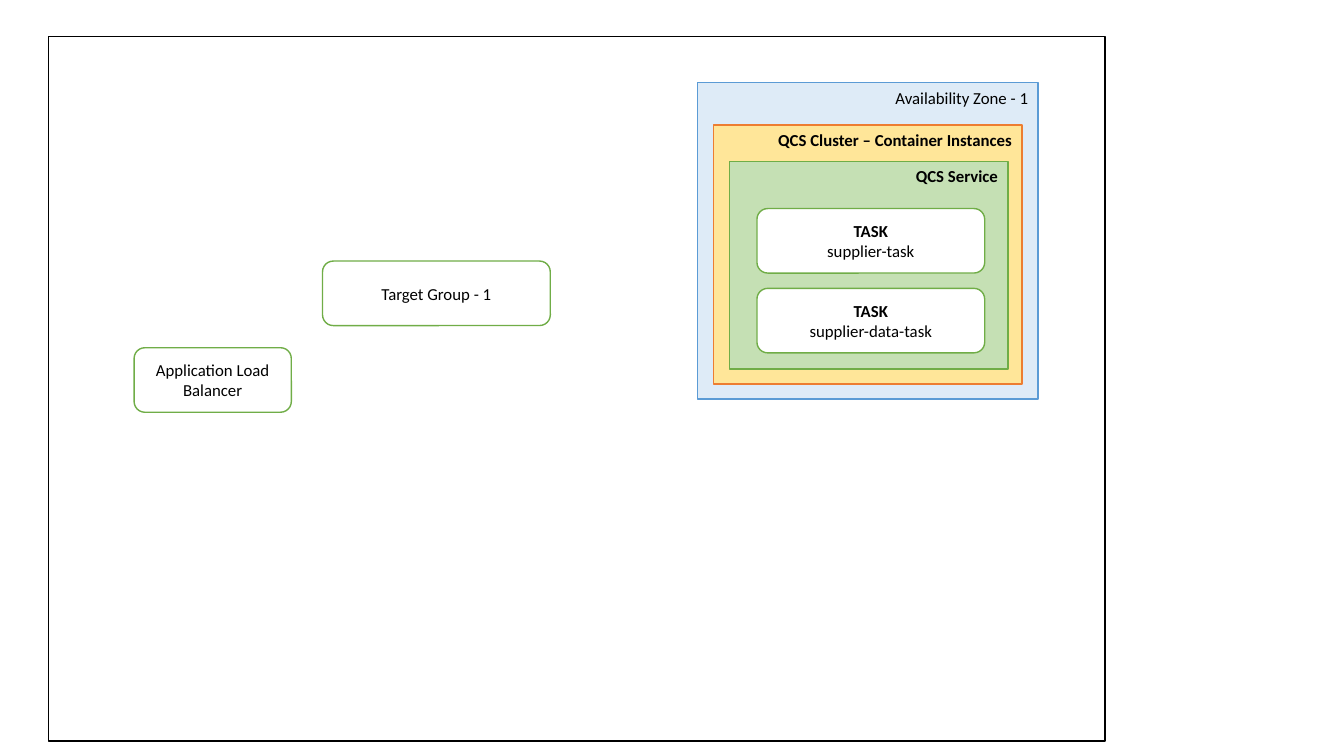
from pptx import Presentation
from pptx.dml.color import RGBColor
from pptx.enum.shapes import MSO_SHAPE
from pptx.enum.text import MSO_ANCHOR, PP_ALIGN
from pptx.util import Pt

BLACK = RGBColor(0x00, 0x00, 0x00)
WHITE = RGBColor(0xFF, 0xFF, 0xFF)
BLUE = RGBColor(0x5B, 0x9B, 0xD5)
PALE_BLUE = RGBColor(0xDE, 0xEB, 0xF7)
ORANGE = RGBColor(0xED, 0x7D, 0x31)
YELLOW = RGBColor(0xFF, 0xE6, 0x99)
GREEN = RGBColor(0x70, 0xAD, 0x47)
PALE_GREEN = RGBColor(0xC5, 0xE0, 0xB4)

NODE_HEIGHT = 46.1
NODE_WIDTH = 162.7
TASK_TOP = 149
TASK_PITCH = 57


def add_box(page, kind, bounds, fill, line):
    """Add a filled and outlined shape without a shadow."""
    box = page.shapes.add_shape(kind, *[Pt(length) for length in bounds])
    box.shadow.inherit = False
    box.fill.solid()
    box.fill.fore_color.rgb = fill
    box.line.color.rgb = line
    box.line.width = Pt(1)
    return box


def write_lines(box, lines, align, level=0):
    """Write (text, bold) pairs as the paragraphs of a box."""
    frame = box.text_frame
    frame.word_wrap = True
    for index, (text, bold) in enumerate(lines):
        para = frame.add_paragraph() if index else frame.paragraphs[0]
        para.alignment = align
        para.level = level
        span = para.add_run()
        span.text = text
        span.font.name = "Calibri"
        span.font.size = Pt(12)
        span.font.bold = bold
        span.font.color.rgb = BLACK


def add_container(page, bounds, fill, line, title, bold):
    """Add a rectangle with its title at the top right."""
    box = add_box(page, MSO_SHAPE.RECTANGLE, bounds, fill, line)
    box.text_frame.vertical_anchor = MSO_ANCHOR.TOP
    write_lines(box, [(title, bold)], PP_ALIGN.RIGHT, level=1)


def add_node(page, left, top, width, lines):
    """Add a rounded white node with centred text."""
    bounds = (left, top, width, NODE_HEIGHT)
    box = add_box(page, MSO_SHAPE.ROUNDED_RECTANGLE, bounds, WHITE, GREEN)
    box.text_frame.vertical_anchor = MSO_ANCHOR.MIDDLE
    write_lines(box, lines, PP_ALIGN.CENTER)


def main():
    """Build the load balancing diagram."""
    deck = Presentation()
    deck.slide_width, deck.slide_height = Pt(960), Pt(540)
    page = deck.slides.add_slide(deck.slide_layouts[6])

    add_box(page, MSO_SHAPE.RECTANGLE, (34.6, 25.9, 754.6, 503.3), WHITE, BLACK)
    add_container(page, (498.2, 59, 243.4, 226.1), PALE_BLUE, BLUE,
                  "Availability Zone - 1", False)
    add_node(page, 95.8, 248.4, 112.3, [("Application Load Balancer", False)])
    add_node(page, 230.4, 186.5, NODE_WIDTH, [("Target Group - 1", False)])
    add_container(page, (509.8, 89.3, 220.3, 185), YELLOW, ORANGE,
                  "QCS Cluster – Container Instances", True)
    add_container(page, (521.3, 115.2, 198.7, 148.3), PALE_GREEN, GREEN,
                  "QCS Service", True)
    for row, task in enumerate(("supplier-task", "supplier-data-task")):
        add_node(page, 540.7, TASK_TOP + row * TASK_PITCH, NODE_WIDTH,
                 [("TASK", True), (task, False)])

    deck.save("out.pptx")


if __name__ == "__main__":
    main()
